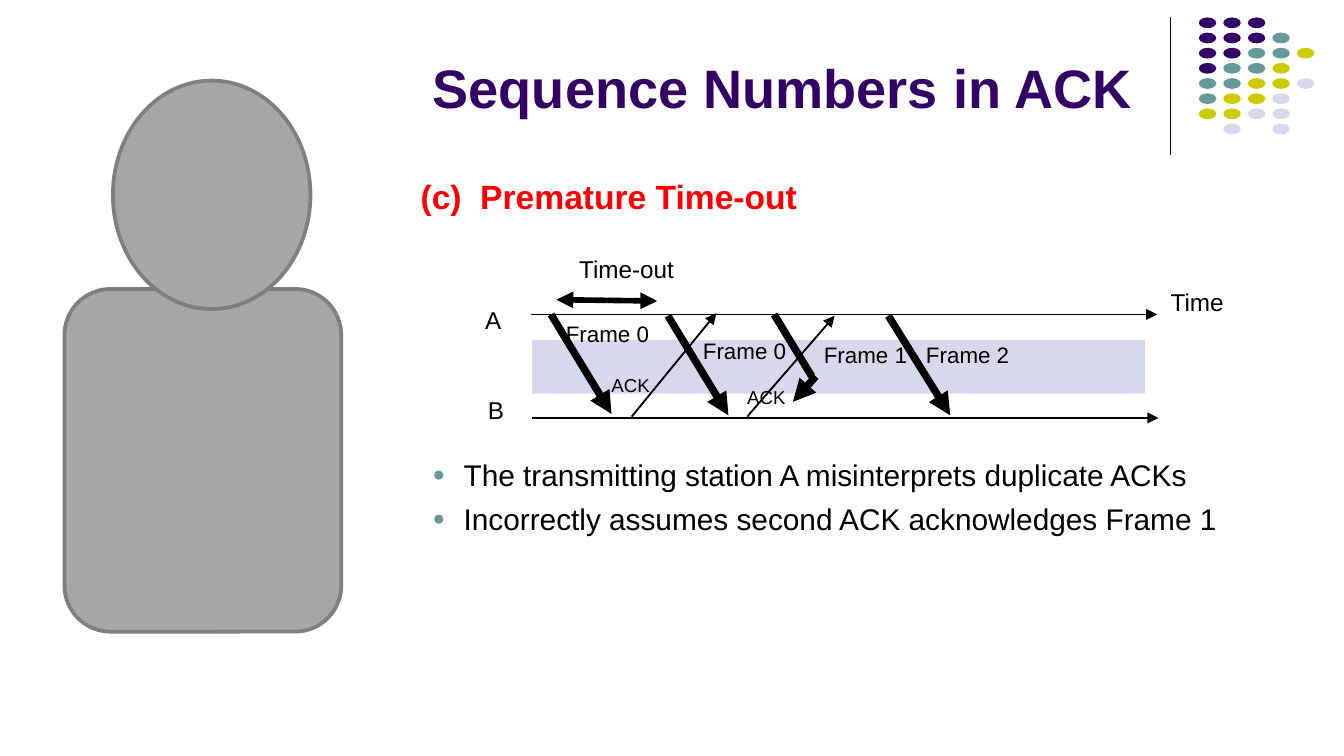
from dataclasses import dataclass

from lxml import etree
from pptx import Presentation
from pptx.dml.color import RGBColor
from pptx.enum.shapes import MSO_CONNECTOR, MSO_SHAPE
from pptx.enum.text import MSO_ANCHOR, MSO_AUTO_SIZE, PP_ALIGN
from pptx.oxml.ns import qn
from pptx.util import Inches, Pt

STRAIGHT = MSO_CONNECTOR.STRAIGHT
ELLIPSE = MSO_SHAPE.OVAL
RECTANGLE = MSO_SHAPE.RECTANGLE
ROUNDED = MSO_SHAPE.ROUNDED_RECTANGLE
TOP, BOTTOM = MSO_ANCHOR.TOP, MSO_ANCHOR.BOTTOM
LEFT = PP_ALIGN.LEFT
NO_AUTOFIT = MSO_AUTO_SIZE.NONE

FONT = "Arial"
COLORS = {
    "black": "000000",
    "purple": "330066",
    "teal": "669999",
    "olive": "CCCC00",
    "lavender": "D8D8EC",
    "red": "FF0000",
    "gray": "A6A6A6",
    "outline": "7F7F7F",
}
DOT_ROWS = ["PPP", "PPPT", "PPTTO", "PTTO", "TTOOL", "TOOL", "OOLL", " L L"]
DOT_COLORS = {"P": "purple", "T": "teal", "O": "olive", "L": "lavender"}


@dataclass(frozen=True)
class Label:
    text: str
    left: float
    top: float
    width: float
    height: float
    size: float
    wrap: bool = False


@dataclass(frozen=True)
class Line:
    start: tuple[float, float]
    end: tuple[float, float]
    weight: float = 1
    head: bool = False
    tail: bool = True


LABELS = [
    Label("A", 3.54, 2.23, 0.27, 0.29, 13),
    Label("B", 3.56, 2.9, 0.27, 0.29, 13),
    Label("Time", 8.64, 2.1, 0.55, 0.29, 13),
    Label("Time-out", 4.24, 1.85, 0.86, 0.29, 13),
    Label("Frame 0", 4.14, 2.34, 0.98, 0.27, 12, True),
    Label("Frame 0", 5.16, 2.47, 0.89, 0.27, 12, True),
    Label("Frame 1", 6.06, 2.5, 0.97, 0.27, 12, True),
    Label("Frame 2", 6.82, 2.5, 0.8, 0.27, 12, True),
    Label("ACK", 4.48, 2.74, 0.43, 0.24, 10),
    Label("ACK", 5.49, 2.83, 0.43, 0.24, 10),
]
LINES = [
    Line((3.95, 2.34), (8.61, 2.34)),
    Line((3.96, 3.11), (8.62, 3.11)),
    Line((4.14, 2.23), (4.89, 2.24), 3, head=True),
    Line((4.1, 2.34), (4.55, 3.08), 4),
    Line((4.97, 2.35), (5.42, 3.09), 4),
    Line((5.76, 2.34), (6.04, 2.8), 4, tail=False),
    Line((6.07, 2.8), (5.9, 2.99), 4),
    Line((6.61, 2.35), (7.07, 3.09), 4),
    Line((4.7, 3.1), (5.33, 2.33)),
    Line((5.56, 3.1), (6.21, 2.35)),
]
BULLETS = [
    "The transmitting station A misinterprets duplicate ACKs",
    "Incorrectly assumes second ACK acknowledges Frame 1",
]


def rgb(name: str) -> RGBColor:
    """Look up a colour by name."""
    return RGBColor.from_string(COLORS[name])


def write(para, text: str, *, size: float, color: str = "black", bold: bool = False):
    """Add one formatted span of text to a paragraph."""
    para.alignment = LEFT
    span = para.add_run()
    span.text = text
    span.font.name = FONT
    span.font.size = Pt(size)
    span.font.bold = bold
    span.font.color.rgb = rgb(color)


def add_frame(page, left: float, top: float, width: float, height: float, wrap: bool):
    """Add an empty text box with narrow margins and return its text frame."""
    box = page.shapes.add_textbox(Inches(left), Inches(top), Inches(width), Inches(height))
    frame = box.text_frame
    frame.word_wrap = wrap
    frame.vertical_anchor = TOP
    frame.margin_left = frame.margin_right = Inches(0.07)
    frame.margin_top = frame.margin_bottom = Inches(0.04)
    return frame


def add_label(page, label: Label, *, color: str = "black", bold: bool = False):
    """Add a single-line label."""
    frame = add_frame(page, label.left, label.top, label.width, label.height, label.wrap)
    write(frame.paragraphs[0], label.text, size=label.size, color=color, bold=bold)


def add_line(page, line: Line):
    """Add a straight line with optional arrowheads."""
    points = [Inches(value) for value in (*line.start, *line.end)]
    connector = page.shapes.add_connector(STRAIGHT, *points)
    connector.line.width = Pt(line.weight)
    connector.line.color.rgb = rgb("black")
    outline = connector.line._get_or_add_ln()
    for tag, shown in (("a:headEnd", line.head), ("a:tailEnd", line.tail)):
        if shown:
            etree.SubElement(outline, qn(tag), type="triangle")
    etree.SubElement(connector._element.spPr, qn("a:effectLst"))


def add_figure(page, kind, left: float, top: float, width: float, height: float,
               fill: str, outline: str | None = None):
    """Add a filled preset shape, outlined on request."""
    shape = page.shapes.add_shape(kind, Inches(left), Inches(top), Inches(width), Inches(height))
    shape.shadow.inherit = False
    shape.fill.solid()
    shape.fill.fore_color.rgb = rgb(fill)
    if outline:
        shape.line.color.rgb = rgb(outline)
        shape.line.width = Pt(2)
    else:
        shape.line.fill.background()


def add_bullet(para, text: str):
    """Write one bulleted line with a hanging indent."""
    para.space_before = Pt(4)
    write(para, text, size=16)
    properties = para._p.get_or_add_pPr()
    properties.set("marL", str(Inches(0.61)))
    properties.set("indent", str(Inches(-0.23)))
    color = etree.SubElement(properties, qn("a:buClr"))
    etree.SubElement(color, qn("a:srgbClr"), val=COLORS["teal"])
    etree.SubElement(properties, qn("a:buSzPct"), val="70000")
    etree.SubElement(properties, qn("a:buFont"), typeface=FONT)
    etree.SubElement(properties, qn("a:buChar"), char="●")


def add_title(page, text: str):
    """Place and format the title placeholder."""
    title = page.shapes.title
    title.left, title.top = Inches(3.12), Inches(0.1)
    title.width, title.height = Inches(5.63), Inches(0.84)
    frame = title.text_frame
    frame.auto_size = NO_AUTOFIT
    frame.vertical_anchor = BOTTOM
    write(frame.paragraphs[0], text, size=29, color="purple", bold=True)


def main():
    """Build the slide and save it."""
    deck = Presentation()
    deck.slide_width = Inches(10)
    deck.slide_height = deck.slide_width * 9 // 16
    page = deck.slides.add_slide(deck.slide_layouts[5])

    add_line(page, Line((8.71, 0.13), (8.71, 1.15), 0.75, tail=False))
    for row, pattern in enumerate(DOT_ROWS):
        for column, code in enumerate(pattern):
            if code in DOT_COLORS:
                add_figure(page, ELLIPSE, 8.92 + 0.73 * column / 4, 0.13 + 0.79 * row / 7,
                           0.13, 0.08, DOT_COLORS[code])

    add_title(page, "Sequence Numbers in ACK")
    frame = add_frame(page, 2.77, 3.36, 6.43, 0.85, True)
    for index, text in enumerate(BULLETS):
        add_bullet(frame.add_paragraph() if index else frame.paragraphs[0], text)
    add_label(page, Label("(c)  Premature Time-out", 3.06, 1.27, 2.96, 0.37, 18),
              color="red", bold=True)

    add_figure(page, RECTANGLE, 3.96, 2.53, 4.56, 0.4, "lavender")
    for line in LINES:
        add_line(page, line)
    for label in LABELS:
        add_label(page, label)

    add_figure(page, ROUNDED, 0.48, 2.15, 2.06, 2.55, "gray", "outline")
    add_figure(page, ELLIPSE, 0.84, 0.6, 1.47, 1.7, "gray", "outline")
    deck.save("out.pptx")


if __name__ == "__main__":
    main()
